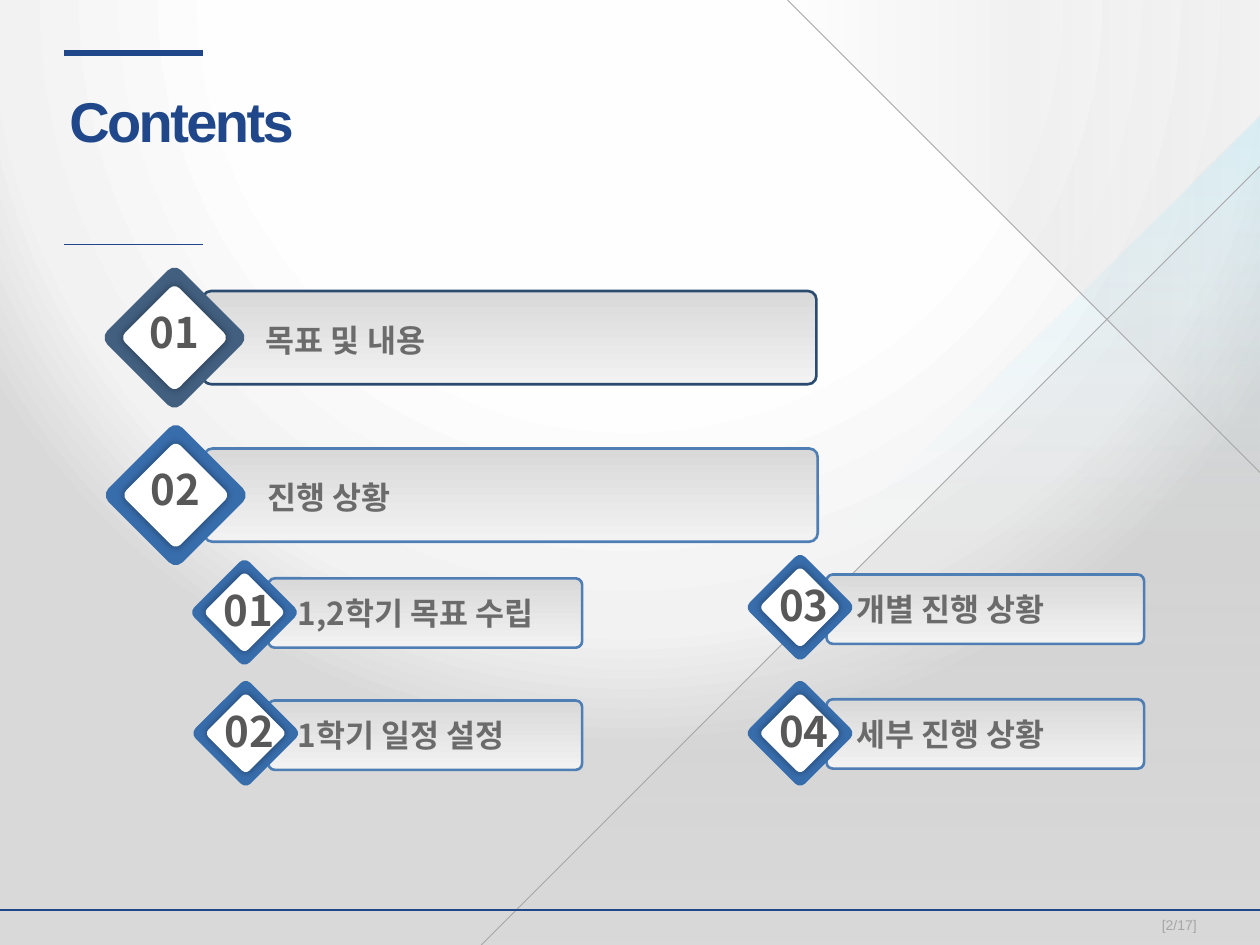
from pptx import Presentation
from pptx.dml.color import RGBColor
from pptx.enum.shapes import MSO_CONNECTOR, MSO_SHAPE
from pptx.enum.text import MSO_ANCHOR, PP_ALIGN
from pptx.oxml import parse_xml
from pptx.oxml.ns import nsdecls, qn
from pptx.util import Inches, Pt

TRIANGLE, ROUNDED = MSO_SHAPE.RIGHT_TRIANGLE, MSO_SHAPE.ROUNDED_RECTANGLE
ELLIPSE, STRAIGHT = MSO_SHAPE.OVAL, MSO_CONNECTOR.STRAIGHT
LEFT, CENTER, MIDDLE = PP_ALIGN.LEFT, PP_ALIGN.CENTER, MSO_ANCHOR.MIDDLE

NAVY = RGBColor(0x1F, 0x47, 0x89)
SLATE = RGBColor(0x42, 0x5F, 0x80)
SLATE_EDGE = RGBColor(0x2A, 0x4A, 0x70)
BLUE = RGBColor(0x38, 0x6D, 0xAC)
BLUE_EDGE = RGBColor(0x4F, 0x7E, 0xB5)
WHITE = RGBColor(0xFF, 0xFF, 0xFF)
GREY = RGBColor(0xA6, 0xA6, 0xA6)
LABEL_GREY = RGBColor(0x6B, 0x6B, 0x6B)
NUMBER_GREY = RGBColor(0x58, 0x58, 0x58)
NOTO = "Noto Sans CJK KR"


def set_gradient(parent, stops, direction):
    """Replace the solid fill in parent with a gradient of (position, hex, opacity)."""
    gs = "".join(
        f'<a:gs pos="{pos * 1000}"><a:srgbClr val="{color}">'
        f'<a:alpha val="{opacity * 1000}"/></a:srgbClr></a:gs>'
        for pos, color, opacity in stops)
    grad = parse_xml(f'<a:gradFill {nsdecls("a")} rotWithShape="1">'
                     f'<a:gsLst>{gs}</a:gsLst>{direction}</a:gradFill>')
    parent.replace(parent.find(qn("a:solidFill")), grad)


def write_text(sp, text, font, size, color, bold=True, align=LEFT, margins=None):
    """Write one formatted line, vertically centred, into a shape."""
    tf = sp.text_frame
    tf.vertical_anchor = MIDDLE
    tf.word_wrap = True
    if margins:
        for side, value in zip(("left", "top", "right", "bottom"), margins):
            setattr(tf, f"margin_{side}", Inches(value))
    p = tf.paragraphs[0]
    p.alignment = align
    r = p.add_run()
    r.text = text
    for name, value in {"name": font, "size": Pt(size), "bold": bold}.items():
        setattr(r.font, name, value)
    r.font.color.rgb = color
    r.font._element.find(qn("a:latin")).addnext(
        parse_xml(f'<a:ea {nsdecls("a")} typeface="{NOTO}"/>'))
    return r


prs = Presentation()
prs.slide_width, prs.slide_height = Inches(10), Inches(7.5)
slide = prs.slides.add_slide(prs.slide_layouts[5])
shapes = slide.shapes

# Background
slide.background.fill.solid()
set_gradient(
    slide.element.find(".//" + qn("p:bgPr")),
    [(0, "FFFFFF", 100), (50, "FEFEFE", 100), (80, "F2F2F2", 100), (95, "D9D9D9", 100)],
    '<a:path path="circle"><a:fillToRect l="50000" t="-80000" r="50000" b="180000"/></a:path>')

# Translucent corner triangles
grey_stops = [(0, "BFBFBF", 0), (50, "BFBFBF", 20), (100, "BFBFBF", 0)]
cyan_stops = [(0, "BFBFBF", 0), (50, "D0F3FE", 0), (100, "A1E7FC", 30)]
for x, y, w, h, rotation, stops in [
        (3.4, 0.9, 6.58, 6.62, 270, cyan_stops),
        (3.82, 1.32, 6.18, 6.18, 270, grey_stops),
        (6.25, 0, 3.75, 3.75, 180, grey_stops)]:
    sp = shapes.add_shape(TRIANGLE, Inches(x), Inches(y), Inches(w), Inches(h))
    sp.rotation = rotation
    sp.shadow.inherit = False
    sp.line.fill.background()
    sp.fill.solid()
    set_gradient(sp.element.spPr, stops, '<a:lin ang="0" scaled="0"/>')

# Diagonals, footer rule and title rules
for x1, y1, x2, y2, color, width in [
        (3.82, 7.5, 10, 1.32, GREY, 0.5),
        (6.25, 0, 10, 3.75, GREY, 0.5),
        (1.85, 7.22, 10, 7.22, NAVY, 1),
        (0, 7.22, 2.01, 7.22, NAVY, 1),
        (0.51, 0.42, 1.61, 0.42, NAVY, 3),
        (0.51, 1.94, 1.61, 1.94, NAVY, 1)]:
    rule = shapes.add_connector(STRAIGHT, Inches(x1), Inches(y1), Inches(x2), Inches(y2))
    rule.line.color.rgb = color
    rule.line.width = Pt(width)
    rule.element.spPr.append(parse_xml(f'<a:effectLst {nsdecls("a")}/>'))

# Title and page number
title = shapes.title
title.left, title.top, title.width, title.height = map(Inches, (0.55, 0.6, 3.54, 0.71))
r = write_text(title, "Contents", "Arial", 32, NAVY, margins=(0, 0, 0, 0))
r.font._element.set("spc", "-150")
page = shapes.add_textbox(Inches(8.72), Inches(7.24), Inches(1.28), Inches(0.2))
write_text(page, "[2/17]", "Arial", 8, GREY, False, CENTER, (0, 0, 0, 0))

# Sizes: bar height, outer and inner diamond, number box, number offset
SECTION = (0.74, 0.83, 0.61, 0.58, 0.43, 0, -0.05)
TOPIC = (0.55, 0.62, 0.46, 0.43, 0.36, 0.03, -0.02)

# Entries: number, label, bar left, top and width, diamond centre, colours, sizes
for number, label, x, y, w, cx, cy, fill, edge, sizes in [
        ("01", "목표 및 내용", 1.61, 2.31, 4.87, 1.385, 2.68, SLATE, SLATE_EDGE, SECTION),
        ("02", "진행 상황", 1.62, 3.56, 4.87, 1.395, 3.93, BLUE, BLUE_EDGE, SECTION),
        ("01", "1,2학기 목표 수립", 2.13, 4.59, 2.49, 1.94, 4.86, BLUE, BLUE_EDGE, TOPIC),
        ("02", "1학기 일정 설정", 2.13, 5.56, 2.49, 1.95, 5.82, BLUE, BLUE_EDGE, TOPIC),
        ("03", "개별 진행 상황", 6.56, 4.56, 2.52, 6.35, 4.82, BLUE, BLUE_EDGE, TOPIC),
        ("04", "세부 진행 상황", 6.56, 5.55, 2.52, 6.35, 5.82, BLUE, BLUE_EDGE, TOPIC)]:
    bar_h, outer, inner, num_w, num_h, dx, dy = sizes
    bar = shapes.add_shape(ROUNDED, Inches(x), Inches(y), Inches(w), Inches(bar_h))
    bar.adjustments[0] = 0.09
    bar.shadow.inherit = False
    bar.line.color.rgb = edge
    bar.line.width = Pt(1.5)
    bar.fill.solid()
    set_gradient(bar.element.spPr, [(1, "F2F2F2", 100), (99, "D9D9D9", 100)],
                 '<a:lin ang="16200000" scaled="0"/>')

    badge = shapes.add_group_shape()
    for side, color in ((outer, fill), (inner, WHITE)):
        diamond = badge.shapes.add_shape(ROUNDED, Inches(cx - side / 2), Inches(cy - side / 2),
                                         Inches(side), Inches(side))
        diamond.rotation = 45
        diamond.adjustments[0] = 0.09
        diamond.shadow.inherit = False
        diamond.line.fill.background()
        diamond.fill.solid()
        diamond.fill.fore_color.rgb = color
    diamond.element.spPr.find(qn("a:effectLst")).append(parse_xml(
        f'<a:outerShdw {nsdecls("a")} blurRad="63500" dist="0" dir="0">'
        '<a:srgbClr val="000000"><a:alpha val="40000"/></a:srgbClr></a:outerShdw>'))

    num = shapes.add_shape(ELLIPSE, Inches(cx + dx - num_w / 2), Inches(cy + dy - num_h / 2),
                           Inches(num_w), Inches(num_h))
    num.shadow.inherit = False
    num.fill.background()
    num.line.fill.background()
    write_text(num, number, NOTO, 24, NUMBER_GREY, align=CENTER)
    num.text_frame.word_wrap = False

    if sizes is SECTION:
        box = shapes.add_textbox(Inches(x + 0.38), Inches(y + 0.11), Inches(5.34), Inches(0.51))
        write_text(box, label, "Arial", 18, LABEL_GREY, margins=(0.12, 0.12, 0.16, 0.08))
    else:
        write_text(bar, label, NOTO, 18, LABEL_GREY, margins=(0.22, 0.05, 0.1, 0.05))

prs.save("out.pptx")
